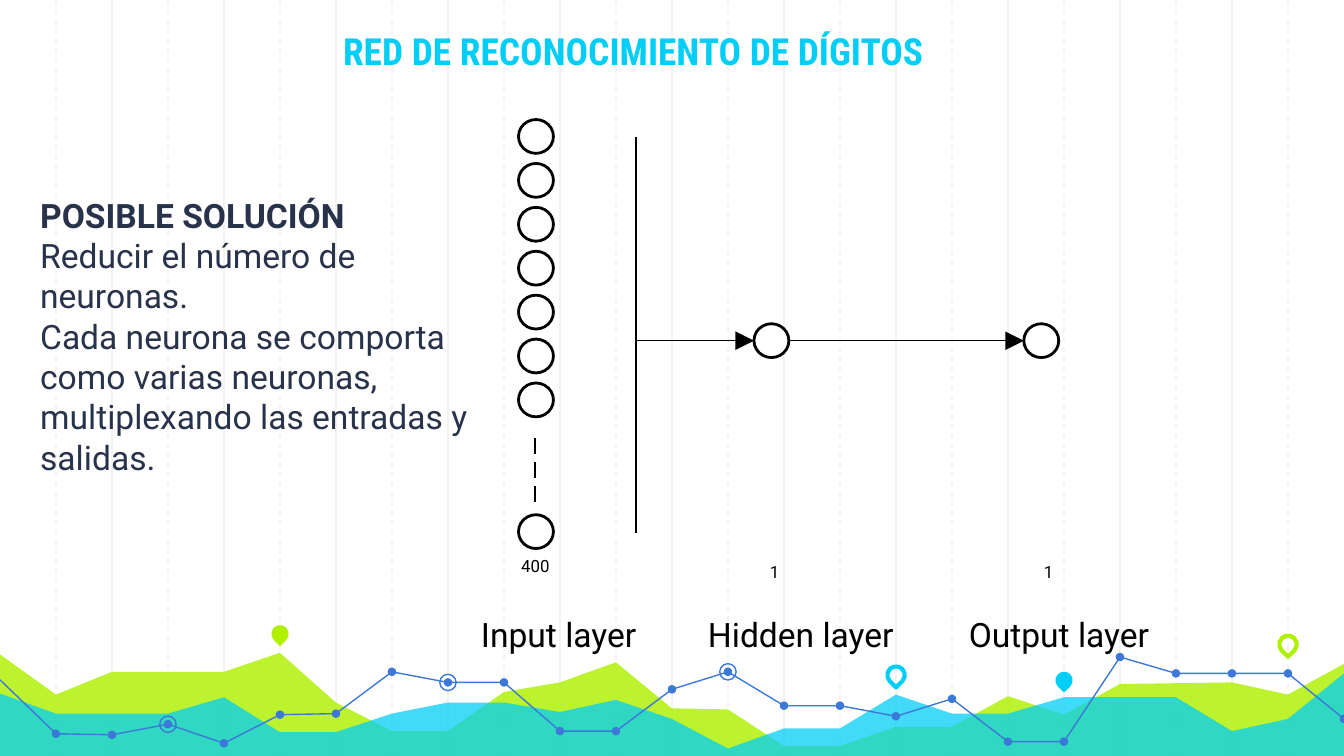
"""Build a slide on a digit recognition network with a reduced number of neurons."""
from lxml import etree
from pptx import Presentation
from pptx import util as u
from pptx.dml.color import RGBColor
from pptx.enum import dml, shapes, text
from pptx.oxml import ns

Cm, Pt = u.Cm, u.Pt
WIDTH, HEIGHT = 25.4, 14.29
COLUMNS = 24
COLORS = {
    "grid": "F3F3F3", "green": "AFF000", "cyan": "00CEF6", "blue": "3C78D8",
    "navy": "28324A", "black": "000000", "white": "FFFFFF",
}
GREEN_HILLS = [
    (0, 12.37), (1, 13.13), (2, 12.7), (4, 12.7), (5, 12.34), (6, 13.28), (7, 13.82),
    (8, 13.82), (9, 13.08), (10, 12.9), (11, 12.52), (12, 13.39), (13, 13.41),
    (14, 14.1), (15, 14.1), (16, 13.74), (17, 13.74), (18, 13.16), (19, 13.51),
    (20, 12.93), (22, 12.9), (23, 13.13), (24, 12.55),
]
CYAN_HILLS = [
    (0, 13.11), (1, 13.49), (3, 13.49), (4, 13.18), (5, 13.84), (6, 13.84), (7, 13.49),
    (8, 13.28), (9, 13.28), (10, 13.46), (11, 13.23), (12, 13.59), (13, 14.15),
    (14, 13.77), (15, 13.77), (16, 13.13), (17, 13.49), (18, 13.49), (19, 13.18),
    (21, 13.18), (22, 13.82), (23, 13.59), (24, 12.73),
]
TREND = [
    12.85, 13.87, 13.89, 13.69, 14.05, 13.51, 13.49, 12.7, 12.9, 12.9, 13.82, 13.82, 13.03,
    12.7, 13.34, 13.34, 13.54, 13.21, 14.02, 14.02, 12.42, 12.73, 12.73, 12.73, 13.59,
]
TREND_PARTS = [(0, 11), (11, 20), (20, 24)]
RINGED_COLUMNS = (3, 8, 13)
PINS = [(5, 11.98, "green", True), (16, 12.76, "cyan", False),
        (19, 12.86, "cyan", True), (23, 12.18, "green", False)]
NEURON_WIDTH, NEURON_HEIGHT = 0.66, 0.64
INPUT_LEFT, INPUT_TOP, INPUT_STEP = 9.8, 2.26, 0.83
HIDDEN_LEFT, OUTPUT_LEFT, MIDDLE = 14.25, 19.35, 6.44
BUS = 12.02
LABELS = [
    ("Input layer", 8.84, 11.35, 4.11, 18), ("Hidden layer", 13.13, 11.35, 4.75, 18),
    ("Output layer", 18.06, 11.35, 4.75, 18), ("400", 9.6, 10.26, 1.09, 9),
    ("1", 14.3, 10.36, 1.09, 9), ("1", 19.48, 10.36, 0.86, 9),
]
SOLUTION = [
    "POSIBLE SOLUCIÓN",
    "Reducir el número de neuronas.",
    "Cada neurona se comporta como varias neuronas, multiplexando las entradas y salidas.",
]


def color(name):
    return RGBColor.from_string(COLORS[name])


def column_x(column):
    return column * WIDTH / COLUMNS


def style(shape, fill=None, line=None, weight=0.75):
    shape.shadow.inherit = False
    if fill:
        shape.fill.solid()
        shape.fill.fore_color.rgb = color(fill)
    else:
        shape.fill.background()
    if line:
        shape.line.color.rgb = color(line)
        shape.line.width = Pt(weight)
    else:
        shape.line.fill.background()


def add_line(slide, start, end, line="black", dashed=False, arrow=False):
    ends = [Cm(value) for value in (*start, *end)]
    connector = slide.shapes.add_connector(shapes.MSO_CONNECTOR.STRAIGHT, *ends)
    connector.line.color.rgb = color(line)
    connector.line.width = Pt(0.75)
    if dashed:
        connector.line.dash_style = dml.MSO_LINE.DASH
    properties = connector._element.spPr
    if arrow:
        etree.SubElement(properties.find(ns.qn("a:ln")), ns.qn("a:tailEnd"),
                         type="triangle", w="lg", len="lg")
    etree.SubElement(properties, ns.qn("a:effectLst"))


def add_outline(slide, points, close):
    corners = [(Cm(x), Cm(y)) for x, y in points]
    builder = slide.shapes.build_freeform(*corners[0])
    builder.add_line_segments(corners[1:], close=close)
    return builder.convert_to_shape()


def add_hills(slide, ridge, fill, opacity):
    points = [(column_x(column), y) for column, y in ridge]
    hills = add_outline(slide, points + [(WIDTH, HEIGHT), (0, HEIGHT)], True)
    style(hills, fill)
    tint = hills._element.spPr.find(ns.qn("a:solidFill"))[0]
    etree.SubElement(tint, ns.qn("a:alpha"), val=str(opacity * 1000))


def add_centered(slide, kind, x, y, size):
    return slide.shapes.add_shape(
        kind, Cm(x - size / 2), Cm(y - size / 2), Cm(size), Cm(size))


def add_trend(slide):
    points = [(column_x(column), y) for column, y in enumerate(TREND)]
    for first, last in TREND_PARTS:
        style(add_outline(slide, points[first:last + 1], False), line="blue")
    oval = shapes.MSO_SHAPE.OVAL
    for point in points[1:]:
        style(add_centered(slide, oval, *point, 0.16), "blue")
    for column in RINGED_COLUMNS:
        style(add_centered(slide, oval, *points[column], 0.31), line="blue")


def add_pin(slide, column, y, tint, filled):
    pin = add_centered(slide, shapes.MSO_SHAPE.TEAR, column_x(column), y, 0.33)
    pin.rotation = 135
    if filled:
        style(pin, tint)
    else:
        style(pin, line=tint, weight=2.25)


def add_background(slide):
    for first, dashed in ((2, False), (1, True)):
        for column in range(first, COLUMNS, 2):
            x = column_x(column)
            add_line(slide, (x, 0), (x, HEIGHT), "grid", dashed)
    add_hills(slide, GREEN_HILLS, "green", 82)
    add_hills(slide, CYAN_HILLS, "cyan", 74)
    add_trend(slide)
    for pin in PINS:
        add_pin(slide, *pin)


def fill_text(shape, lines, size, tint, font="Roboto", anchor=text.MSO_ANCHOR.TOP):
    frame = shape.text_frame
    frame.text = "\n".join(lines)
    frame.word_wrap = True
    frame.auto_size = text.MSO_AUTO_SIZE.NONE
    frame.vertical_anchor = anchor
    frame.margin_left = frame.margin_right = Cm(0.25)
    frame.margin_top = frame.margin_bottom = Cm(0.25)
    for paragraph in frame.paragraphs:
        paragraph.font.name = font
        paragraph.font.size = Pt(size)
        paragraph.font.color.rgb = color(tint)
    return frame.paragraphs[0]


def add_text(slide, lines, left, top, width, height, size, tint="black"):
    box = slide.shapes.add_textbox(Cm(left), Cm(top), Cm(width), Cm(height))
    return fill_text(box, lines, size, tint)


def set_title(slide, words):
    title = slide.shapes.title
    title.left, title.top, title.width, title.height = Cm(5.38), Cm(-0.1), Cm(13.18), Cm(1.73)
    paragraph = fill_text(title, [words], 20, "cyan", "Roboto Condensed", text.MSO_ANCHOR.BOTTOM)
    paragraph.alignment = text.PP_ALIGN.CENTER
    paragraph.font.bold = True
    slide.shapes._spTree.append(title._element)


def add_neuron(slide, left, top):
    neuron = slide.shapes.add_shape(shapes.MSO_SHAPE.FLOWCHART_CONNECTOR, Cm(left), Cm(top),
                                    Cm(NEURON_WIDTH), Cm(NEURON_HEIGHT))
    style(neuron, "white", "black", 1.5)


def add_network(slide):
    for left in (HIDDEN_LEFT, OUTPUT_LEFT):
        add_neuron(slide, left, MIDDLE - NEURON_HEIGHT / 2)
    for row in (*range(7), 9):
        add_neuron(slide, INPUT_LEFT, INPUT_TOP + row * INPUT_STEP)
    for index in range(3):
        top = 8.28 + index * 0.45
        add_line(slide, (10.11, top), (10.11, top + 0.31))
    add_line(slide, (BUS, 2.59), (BUS, 10.08))
    add_line(slide, (BUS, MIDDLE), (HIDDEN_LEFT, MIDDLE), arrow=True)
    add_line(slide, (HIDDEN_LEFT + NEURON_WIDTH, MIDDLE), (OUTPUT_LEFT, MIDDLE), arrow=True)
    for words, left, top, width, size in LABELS:
        add_text(slide, [words], left, top, width, 1.07 if size == 18 else 0.81, size)


def main():
    presentation = Presentation()
    presentation.slide_width, presentation.slide_height = Cm(WIDTH), Cm(HEIGHT)
    slide = presentation.slides.add_slide(presentation.slide_layouts[5])
    add_background(slide)
    set_title(slide, "RED DE RECONOCIMIENTO DE DÍGITOS")
    add_network(slide)
    heading = add_text(slide, SOLUTION, 0.51, 3.43, 9.27, 7.39, 18, "navy")
    heading.font.bold = True
    presentation.save("out.pptx")


if __name__ == "__main__":
    main()
